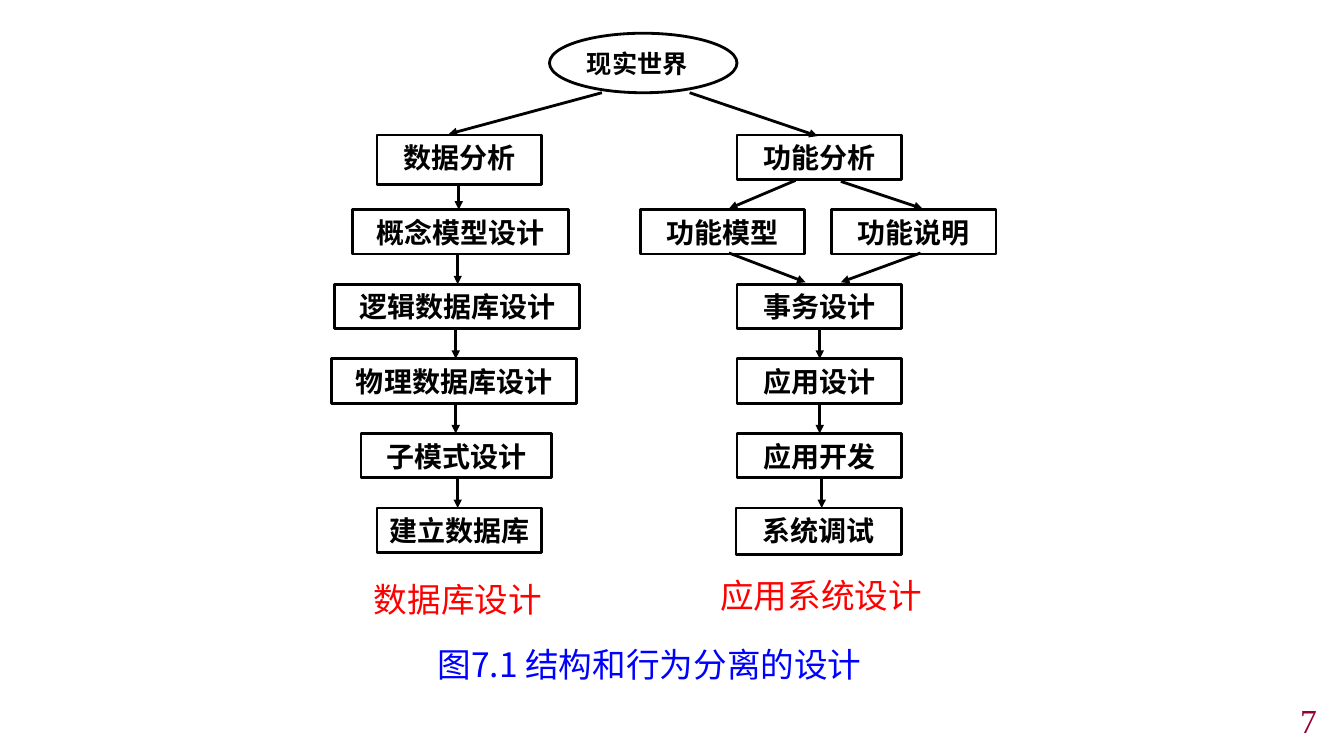
from lxml.etree import SubElement
from pptx import Presentation
from pptx.dml.color import RGBColor
from pptx.enum.shapes import MSO_CONNECTOR as Connector, MSO_SHAPE as Shape
from pptx.enum.text import MSO_ANCHOR as Anchor, MSO_AUTO_SIZE as AutoSize, PP_ALIGN as Align
from pptx.oxml.ns import qn
from pptx.util import Inches, Pt

COLORS = {"ink": "000000", "paper": "FFFFFF", "branch": "FF0000",
          "caption": "0000FF", "number": "990033"}
CJK = "Noto Sans CJK SC"
ROW_TOP, ROW_STEP, BOX_HEIGHT = 1.34, 0.74, 0.44

# label, left, width, height, x of the arrow leading to the next step
DATA_STEPS = [
    ("数据分析", 3.74, 1.63, 0.49, 4.55),
    ("概念模型设计", 3.5, 2.14, BOX_HEIGHT, 4.54),
    ("逻辑数据库设计", 3.32, 2.43, BOX_HEIGHT, 4.52),
    ("物理数据库设计", 3.29, 2.43, BOX_HEIGHT, 4.52),
    ("子模式设计", 3.58, 1.89, BOX_HEIGHT, 4.54),
    ("建立数据库", 3.74, 1.63, BOX_HEIGHT, None),
]
APPLICATION_STEPS = [
    ("事务设计", 7.31, 1.63, BOX_HEIGHT, 8.13),
    ("应用设计", 7.31, 1.63, BOX_HEIGHT, 8.13),
    ("应用开发", 7.31, 1.63, BOX_HEIGHT, 8.15),
    ("系统调试", 7.3, 1.64, 0.46, None),
]
FUNCTION_BOXES = [("功能分析", 7.31, 0), ("功能模型", 6.35, 1), ("功能说明", 8.25, 1)]
SLANTED_ARROWS = [
    ((5.97, 0.92), (4.45, 1.33)),
    ((6.84, 0.92), (8.11, 1.35)),
    ((7.89, 1.79), (7.23, 2.07)),
    ((8.34, 1.8), (9.15, 2.07)),
    ((7.23, 2.51), (7.99, 2.8)),
    ((9.13, 2.51), (8.34, 2.8)),
]


def row_top(row):
    return ROW_TOP + ROW_STEP * row


class FlowSlide:
    def __init__(self, slide):
        self.slide = slide

    def color(self, name):
        return RGBColor.from_string(COLORS[name])

    def set_text(self, frame, text, size, color, align, bold=False, font=CJK):
        frame.text = text
        paragraph = frame.paragraphs[0]
        paragraph.alignment = align
        run = paragraph.runs[0]
        run.font.size = Pt(size)
        run.font.bold = bold
        run.font.name = font
        run.font.color.rgb = self.color(color)
        SubElement(run.font._element, qn("a:ea")).set("typeface", font)
        return paragraph

    def outlined(self, kind, left, top, width, height):
        shape = self.slide.shapes.add_shape(
            kind, Inches(left), Inches(top), Inches(width), Inches(height))
        shape.shadow.inherit = False
        shape.fill.solid()
        shape.fill.fore_color.rgb = self.color("paper")
        shape.line.color.rgb = self.color("ink")
        shape.line.width = Pt(2)
        return shape.text_frame

    def world(self, text, *place):
        frame = self.outlined(Shape.OVAL, *place)
        frame.vertical_anchor = Anchor.MIDDLE
        self.set_text(frame, text, 18, "ink", Align.LEFT, bold=True)

    def box(self, text, left, row, width=1.63, height=BOX_HEIGHT):
        frame = self.outlined(Shape.RECTANGLE, left, row_top(row), width, height)
        frame.vertical_anchor = Anchor.TOP
        frame.margin_top = Inches(0.12)
        paragraph = self.set_text(frame, text, 20, "ink", Align.CENTER, bold=True)
        paragraph.line_spacing = 0.8

    def arrow(self, start, end):
        arrow = self.slide.shapes.add_connector(
            Connector.STRAIGHT, *(Inches(value) for value in (*start, *end)))
        arrow.line.color.rgb = self.color("ink")
        arrow.line.width = Pt(2)
        properties = arrow._element.spPr
        SubElement(properties.find(qn("a:ln")), qn("a:tailEnd")).set("type", "triangle")
        SubElement(properties, qn("a:effectLst"))

    def column(self, steps, first_row):
        """Stack the steps and join each to the next with an arrow."""
        for row, (text, left, width, height, arrow_x) in enumerate(steps, first_row):
            self.box(text, left, row, width, height)
            if arrow_x:
                self.arrow((arrow_x, row_top(row) + height + 0.01),
                           (arrow_x, row_top(row + 1)))

    def label(self, text, left, top, width, height, color, align=Align.CENTER,
              anchor=Anchor.TOP, font=CJK, grow=True):
        frame = self.slide.shapes.add_textbox(
            Inches(left), Inches(top), Inches(width), Inches(height)).text_frame
        frame.word_wrap = True
        frame.auto_size = AutoSize.SHAPE_TO_FIT_TEXT if grow else AutoSize.NONE
        frame.vertical_anchor = anchor
        self.set_text(frame, text, 24, color, align, font=font)


def main():
    deck = Presentation()
    deck.slide_width, deck.slide_height = Inches(13.33), Inches(7.5)
    flow = FlowSlide(deck.slides.add_slide(deck.slide_layouts[6]))

    flow.label("7", 10.33, 6.99, 2.83, 0.31, "number", Align.RIGHT,
               Anchor.MIDDLE, "Times New Roman", grow=False)
    flow.world("现实世界", 5.45, 0.33, 1.86, 0.59)
    for text, left, row in FUNCTION_BOXES:
        flow.box(text, left, row)
    flow.column(DATA_STEPS, 0)
    flow.column(APPLICATION_STEPS, 2)
    for start, end in SLANTED_ARROWS:
        flow.arrow(start, end)

    flow.label("数据库设计", 3.61, 5.69, 1.89, 0.5, "branch", Align.LEFT)
    flow.label("应用系统设计", 7.03, 5.65, 2.23, 0.5, "branch")
    flow.label("图7.1 结构和行为分离的设计 ", 4.23, 6.34, 4.5, 0.5, "caption",
               anchor=Anchor.MIDDLE)
    deck.save("out.pptx")


if __name__ == "__main__":
    main()
